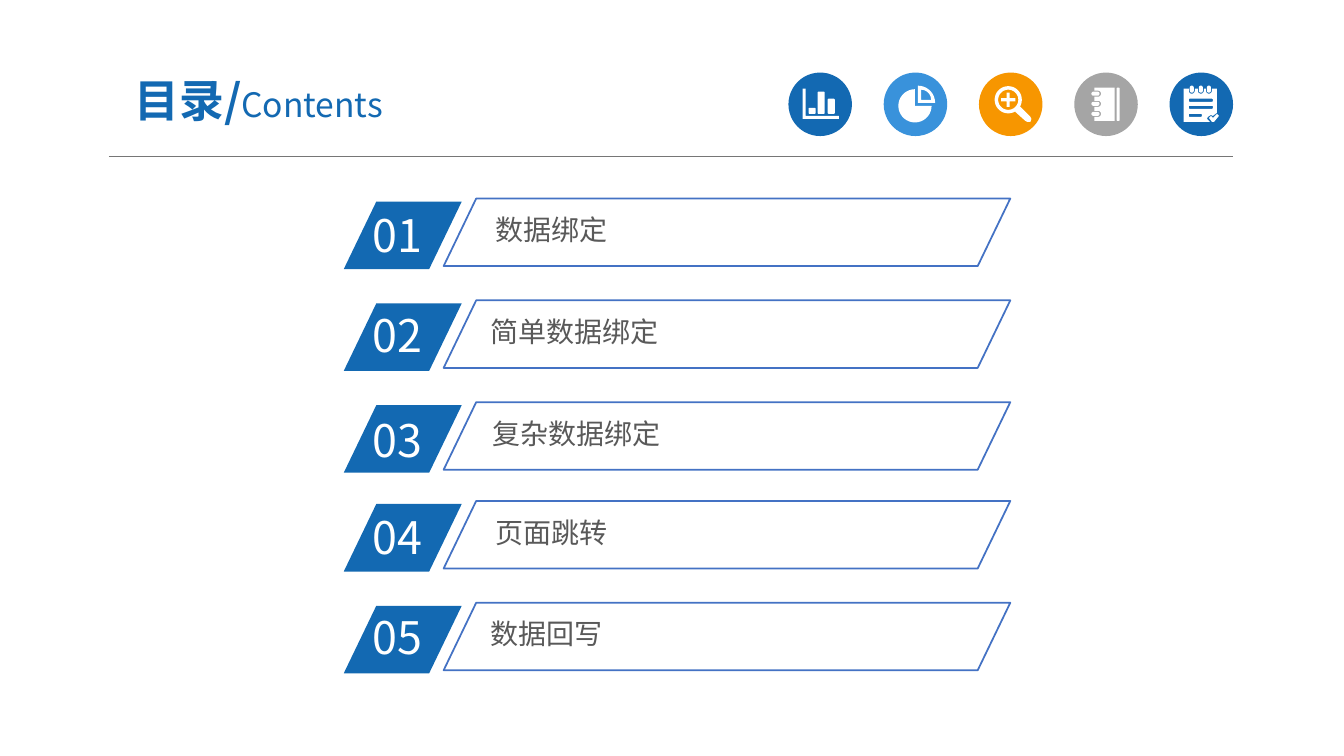
from math import cos, sin, radians
from lxml.etree import SubElement
from pptx import Presentation
from pptx.dml.color import RGBColor
from pptx.enum.shapes import MSO_CONNECTOR, MSO_SHAPE
from pptx.enum.text import MSO_ANCHOR, PP_ALIGN
from pptx.oxml.ns import qn
from pptx.util import Inches, Pt

FONT = "Noto Sans CJK SC"
BLUE, EDGE, WHITE, GREY = "1369B2", "4472C4", "FFFFFF", "595959"


def color(code):
    return RGBColor.from_string(code)


def shape(slide, kind, x, y, w, h, fill=None, line=None):
    item = slide.shapes.add_shape(kind, Inches(x), Inches(y), Inches(w), Inches(h))
    paint(item, fill, line)
    return item


def paint(item, fill, line=None):
    item.shadow.inherit = False
    if fill:
        item.fill.solid()
        item.fill.fore_color.rgb = color(fill)
    else:
        item.fill.background()
    if line:
        item.line.color.rgb = color(line)
        item.line.width = Pt(1.25)
    else:
        item.line.fill.background()


def style(run, size, code, bold=False):
    run.font.size = Pt(size)
    run.font.bold = bold
    run.font.name = FONT
    run.font.color.rgb = color(code)
    SubElement(run.font._element, qn("a:ea"), typeface=FONT)


def text(slide, x, y, w, h, words, size, code, pad=(0.1, 0.05)):
    box = slide.shapes.add_textbox(Inches(x), Inches(y), Inches(w), Inches(h))
    frame = box.text_frame
    frame.word_wrap = True
    frame.margin_left = frame.margin_right = Inches(pad[0])
    frame.margin_top = frame.margin_bottom = Inches(pad[1])
    frame.text = words
    style(frame.paragraphs[0].runs[0], size, code)
    return frame


# Outlines, in inches from the corner of a badge
def arc(x, y, r, start=0, end=360):
    steps = range(start, end + 1, 10)
    return [(x + r * cos(radians(a)), y + r * sin(radians(a))) for a in steps]


def pill(x, y, w, h, r=0.01):
    right, low = x + w - r, y + h - r
    return (arc(x + r, y + r, r, 180, 270) + arc(right, y + r, r, 270, 360)
            + arc(right, low, r, 0, 90) + arc(x + r, low, r, 90, 180))


def bars():
    axis = [(0.14, 0.16), (0.17, 0.16), (0.17, 0.43), (0.5, 0.43),
            (0.5, 0.46), (0.14, 0.46)]
    tops = [(0.2, 0.35), (0.29, 0.19), (0.39, 0.26)]
    return [axis] + [pill(x, y, 0.07, 0.41 - y) for x, y in tops]


def pie():
    return [[(0.31, 0.33)] + arc(0.31, 0.33, 0.165, 0, 270),
            [(0.34, 0.3)] + arc(0.34, 0.3, 0.17, 270, 360),
            [(0.37, 0.27)] + arc(0.37, 0.27, 0.1, 270, 360)]


def lens():
    x, y, long, thin = 0.29, 0.27, 0.07, 0.015
    arm = [(thin, -long), (thin, -thin), (long, -thin), (long, thin),
           (thin, thin), (thin, long)]
    plus = [(x + a, y + b) for a, b in arm] + [(x - a, y - b) for a, b in arm]
    grip = [(0.36, 0.39), (0.41, 0.34), (0.51, 0.44), (0.52, 0.46),
            (0.51, 0.49), (0.48, 0.49), (0.46, 0.48)]
    return [arc(x, y, 0.135), arc(x, y, 0.1), plus, grip]


def book():
    rows = (0.21, 0.31, 0.41)
    cover = [(0.4, 0.48), (0.4, 0.15), (0.2, 0.15)]
    for y in rows:
        cover += [(0.2, y - 0.03)] + arc(0.235, y, 0.03, -90, 90) + [(0.2, y + 0.03)]
    cover.append((0.2, 0.48))
    rings = [pill(0.17, y - 0.02, 0.08, 0.04, 0.02) for y in rows]
    return [cover, pill(0.42, 0.15, 0.03, 0.33)] + rings


def pad():
    cols = (0.22, 0.31, 0.39)
    page = [(0.14, 0.49), (0.14, 0.16)]
    for x in cols:
        page += [(x - 0.03, 0.16)] + arc(x, 0.18, 0.03, 0, 180)[::-1] + [(x + 0.03, 0.16)]
    page += [(0.47, 0.16), (0.47, 0.4), (0.43, 0.43), (0.41, 0.42),
             (0.38, 0.44), (0.37, 0.46), (0.4, 0.49)]
    tick = [(0.39, 0.45), (0.41, 0.43), (0.43, 0.45), (0.47, 0.41),
            (0.49, 0.43), (0.44, 0.49), (0.42, 0.49)]
    lines = [pill(0.19, y, w, 0.03) for y, w in
             ((0.26, 0.24), (0.33, 0.24), (0.41, 0.13))]
    rings = [pill(x - 0.02, 0.13, 0.04, 0.07, 0.02) for x in cols]
    return [page, tick] + lines + rings


def badge(slide, x, y, fill, icon):
    shape(slide, MSO_SHAPE.OVAL, x, y, 0.63, 0.63, fill)
    build = None
    for ring in icon():
        dots = [(Inches(x + a), Inches(y + b)) for a, b in ring]
        if build:
            build.move_to(*dots[0])
        else:
            build = slide.shapes.build_freeform(*dots[0], scale=1.0)
        build.add_line_segments(dots[1:], close=True)
    paint(build.convert_to_shape(), WHITE)


# Title, rule and badges
def header(slide, x, y, w):
    rule = slide.shapes.add_connector(MSO_CONNECTOR.STRAIGHT, Inches(x), Inches(y + 0.92),
                                      Inches(x + w), Inches(y + 0.92))
    rule.line.color.rgb = color("767676")
    rule.line.width = Pt(0.5)
    SubElement(rule._element.spPr, qn("a:effectLst"))

    marks = [(BLUE, bars), ("3992DB", pie), ("F79600", lens),
             ("A5A5A5", book), (BLUE, pad)]
    for i, (fill, icon) in enumerate(marks):
        badge(slide, x + 6.74 + 0.945 * i, y + 0.09, fill, icon)

    frame = text(slide, x - 0.16, y, 3.29, 0.72, "目录/", 32, BLUE, (0.13, 0.07))
    frame.vertical_anchor = MSO_ANCHOR.MIDDLE
    title = frame.paragraphs[0]
    title.alignment = PP_ALIGN.CENTER
    title.runs[0].font.bold = True
    tail = title.add_run()
    tail.text = "Contents"
    style(tail, 24, BLUE)


# One numbered entry
def entry(slide, x, y, num, drop, label, inset):
    tag = shape(slide, MSO_SHAPE.PARALLELOGRAM, x, y + 0.03, 1.17, 0.67, BLUE)
    text(slide, x + 0.19, y + drop, 1.12, 0.64, f"{num:02}", 32, WHITE)
    text(slide, x + inset, y + 0.1, 4.12, 0.41, label, 20, GREY, (0.07, 0.04))
    bar = shape(slide, MSO_SHAPE.PARALLELOGRAM, x + 0.99, y, 5.62, 0.67, line=EDGE)
    for item in (tag, bar):
        item.adjustments[0] = 0.482


def main():
    deck = Presentation()
    deck.slide_width, deck.slide_height = Inches(13.33), Inches(7.5)
    slide = deck.slides.add_slide(deck.slide_layouts[6])
    header(slide, 1.08, 0.63, 11.15)
    rows = [(1.97, 0.04, "数据绑定", 1.43), (2.98, 0.02, "简单数据绑定", 1.38),
            (3.99, 0.06, "复杂数据绑定", 1.4), (4.97, 0.04, "页面跳转", 1.43),
            (5.98, 0.02, "数据回写", 1.38)]
    for num, (y, drop, label, inset) in enumerate(rows, 1):
        entry(slide, 3.41, y, num, drop, label, inset)
    deck.save("out.pptx")


if __name__ == "__main__":
    main()
